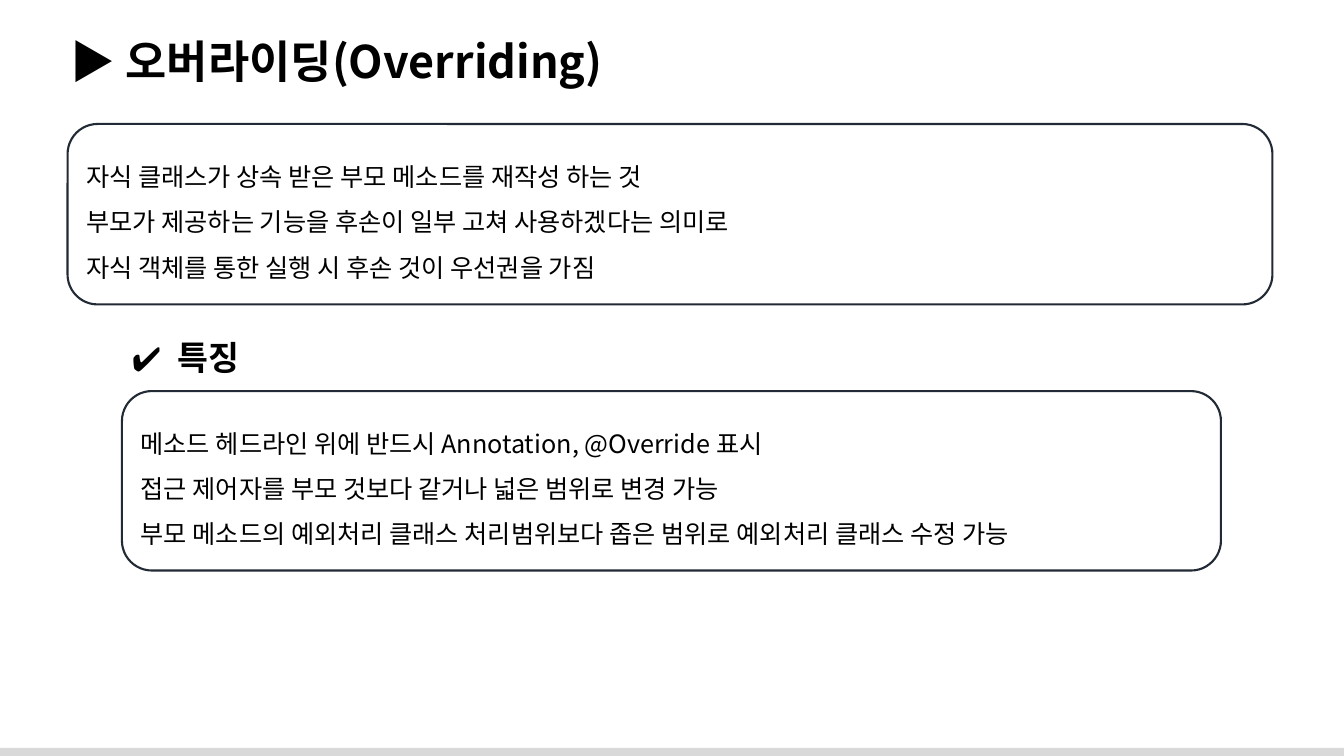
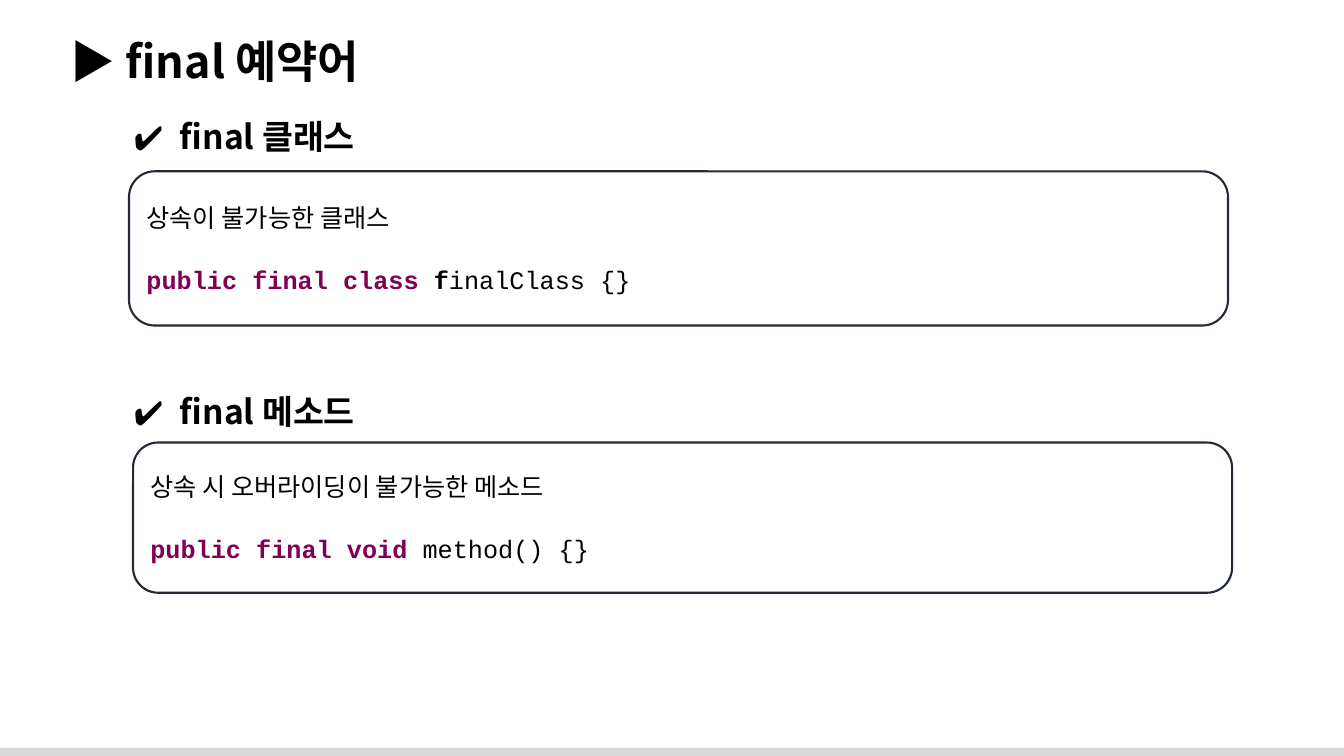
import pptx
import pptx.util
import pptx.dml.color
import pptx.enum.shapes
import pptx.enum.text
import pptx.oxml
import pptx.oxml.ns
import lxml.etree

Inches = pptx.util.Inches
Pt = pptx.util.Pt
SHAPE = pptx.enum.shapes.MSO_SHAPE
ALIGN = pptx.enum.text.PP_ALIGN
ANCHOR = pptx.enum.text.MSO_ANCHOR
FIT = pptx.enum.text.MSO_AUTO_SIZE
qn = pptx.oxml.ns.qn

HEX = {"text": "000000", "edge": "222A35", "band": "D9D9D9", "word": "7F0055"}
SANS = "Noto Sans CJK KR"
MONO = "Courier New"
WIDE, HIGH = 13.33, 7.5


def color(name):
    return pptx.dml.color.RGBColor.from_string(HEX[name])


def add_run(para, text, size=18, bold=False, font=SANS, ink="text"):
    run = para.add_run()
    run.text = text
    run.font.size = Pt(size)
    run.font.bold = bold
    run.font.name = font
    run.font.color.rgb = color(ink)
    east = lxml.etree.Element(qn("a:ea"), typeface=font)
    run.font._element.find(qn("a:latin")).addnext(east)


def add_band(deck, slide):
    band = slide.shapes.add_shape(
        SHAPE.RECTANGLE, 0, Inches(7.42), Inches(WIDE), Inches(HIGH - 7.42))
    band.shadow.inherit = False
    band.fill.solid()
    band.fill.fore_color.rgb = color("band")
    band.line.fill.background()
    band.element.nvSpPr.cNvPr.set("id", "20")
    deck.slide_master.shapes.element.append(band.element)


def add_page(deck, text):
    slide = deck.slides.add_slide(deck.slide_layouts[5])
    title = slide.shapes.title
    title.left, title.top = Inches(0.6), Inches(0.28)
    title.width, title.height = Inches(12.6), Inches(0.64)
    frame = title.text_frame
    frame.word_wrap = True
    frame.auto_size = FIT.SHAPE_TO_FIT_TEXT
    frame.vertical_anchor = ANCHOR.MIDDLE
    para = frame.paragraphs[0]
    para.alignment = ALIGN.LEFT
    add_run(para, "▶ " + text, 32, True)
    return slide


def add_head(slide, text, left, top, width):
    box = slide.shapes.add_textbox(
        Inches(left), Inches(top), Inches(width), Inches(0.5))
    frame = box.text_frame
    frame.word_wrap = True
    frame.auto_size = FIT.SHAPE_TO_FIT_TEXT
    para = frame.paragraphs[0]
    props = para._p.get_or_add_pPr()
    props.set("marL", str(Inches(0.38)))
    props.set("indent", str(-Inches(0.38)))
    tint = lxml.etree.SubElement(props, qn("a:buClr"))
    lxml.etree.SubElement(tint, qn("a:srgbClr"), val=HEX["text"])
    lxml.etree.SubElement(props, qn("a:buFont"), typeface=SANS)
    lxml.etree.SubElement(props, qn("a:buChar"), char="✔")
    add_run(para, " " + text, 24, True)


def add_panel(slide, left, top, width, height):
    panel = slide.shapes.add_shape(
        SHAPE.ROUNDED_RECTANGLE,
        Inches(left), Inches(top), Inches(width), Inches(height))
    panel.shadow.inherit = False
    panel.fill.background()
    panel.line.color.rgb = color("edge")
    panel.line.width = Pt(1.5)
    frame = panel.text_frame
    frame.word_wrap = True
    frame.vertical_anchor = ANCHOR.MIDDLE
    frame.paragraphs[0].alignment = ALIGN.LEFT
    return frame


def add_para(frame):
    para = frame.add_paragraph()
    para.alignment = ALIGN.LEFT
    return para


def add_list(slide, place, lines):
    frame = add_panel(slide, *place)
    for i, line in enumerate(lines):
        para = add_para(frame) if i else frame.paragraphs[0]
        para.line_spacing = 1.5
        add_run(para, line)


def add_code(slide, place, note, parts):
    frame = add_panel(slide, *place)
    add_run(frame.paragraphs[0], note)
    para = add_para(frame)
    para.space_before = Pt(23)
    for text, bold, ink in parts:
        add_run(para, text, bold=bold, font=MONO, ink=ink)


def main():
    deck = pptx.Presentation()
    deck.slide_width, deck.slide_height = Inches(WIDE), Inches(HIGH)

    slide = add_page(deck, "오버라이딩(Overriding)")
    add_band(deck, slide)
    add_list(slide, (0.67, 1.23, 11.95, 1.79), [
        "자식 클래스가 상속 받은 부모 메소드를 재작성 하는 것",
        "부모가 제공하는 기능을 후손이 일부 고쳐 사용하겠다는 의미로",
        "자식 객체를 통한 실행 시 후손 것이 우선권을 가짐",
    ])
    add_head(slide, "특징", 1.21, 3.29, 1.37)
    add_list(slide, (1.21, 3.88, 10.9, 1.78), [
        "메소드 헤드라인 위에 반드시 Annotation, @Override 표시",
        "접근 제어자를 부모 것보다 같거나 넓은 범위로 변경 가능",
        "부모 메소드의 예외처리 클래스 처리범위보다 좁은 범위로 예외처리 클래스 수정 가능",
    ])

    slide = add_page(deck, "final 예약어")
    add_head(slide, "final 클래스", 1.23, 1.1, 2.53)
    add_code(slide, (1.28, 1.7, 10.9, 1.53), "상속이 불가능한 클래스", [
        ("public final class", True, "word"),
        (" f", True, "text"),
        ("inalClass {}", False, "text"),
    ])
    add_head(slide, "final 메소드", 1.23, 3.83, 2.53)
    add_code(slide, (1.32, 4.39, 10.9, 1.49), "상속 시 오버라이딩이 불가능한 메소드", [
        ("public final void ", True, "word"),
        ("method() {}", False, "text"),
    ])

    deck.save("out.pptx")


if __name__ == "__main__":
    main()
